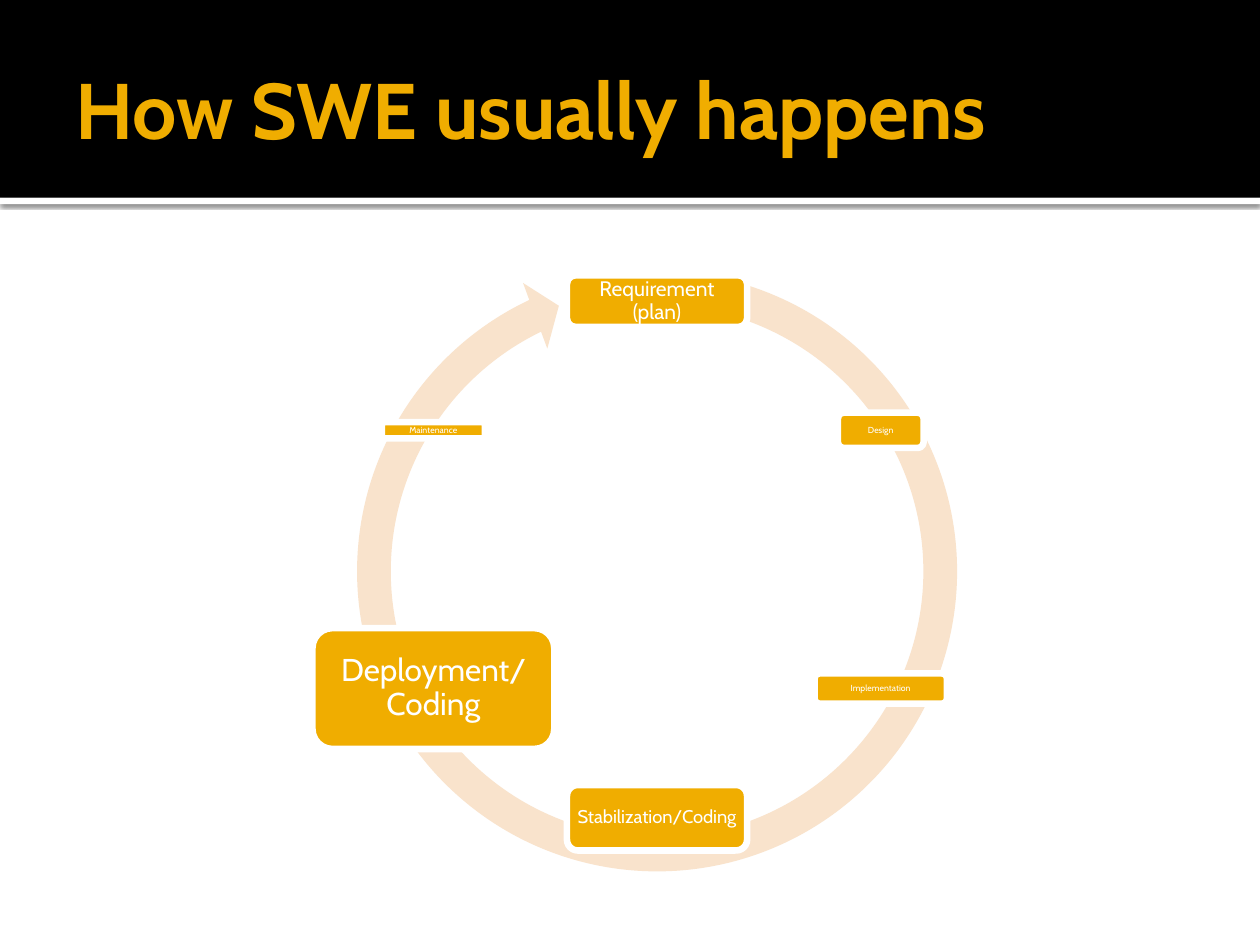
from math import cos, radians, sin

from lxml import etree
from pptx import Presentation
from pptx.dml.color import RGBColor
from pptx.enum.shapes import MSO_SHAPE as Shape
from pptx.enum.text import MSO_ANCHOR as Anchor, PP_ALIGN as Align
from pptx.oxml import parse_xml
from pptx.oxml.ns import nsdecls
from pptx.util import Inches, Pt

TITLE = "How SWE usually happens"
# Clockwise from the top: label, width, height, font size, text inset
STAGES = [
    ("Requirement (plan)", 1.43, 0.41, 12, 0.05),
    ("Design", 0.68, 0.28, 5, 0.02),
    ("Implementation", 1.05, 0.24, 5, 0.02),
    ("Stabilization/Coding", 1.43, 0.52, 10.5, 0.05),
    ("Deployment/Coding", 1.92, 0.96, 18, 0.07),
    ("Maintenance", 0.82, 0.13, 5, 0.02),
]
FONT = "Cabin"
GOLD, PEACH, WHITE, BLACK = "F0AD00", "F9E3CC", "FFFFFF", "000000"
CENTER_X, CENTER_Y, RADIUS = 5.215, 4.44, 2.05
ARROW_BOX = (2.69, 2.01, 5.05, 5.05)
ARROW_ADJUSTMENTS = (0.053, 3.126, 146.698, 168.728, 0.055)


def color(hex_value):
    return RGBColor.from_string(hex_value)


def add_filled(slide, kind, box, fill):
    shape = slide.shapes.add_shape(kind, *map(Inches, box))
    shape.shadow.inherit = False
    shape.fill.solid()
    shape.fill.fore_color.rgb = color(fill)
    shape.line.fill.background()
    return shape


def add_drop_shadow(shape):
    effects = shape.element.spPr.find("{*}effectLst")
    shadow = parse_xml(
        f'<a:outerShdw {nsdecls("a")} blurRad="{Pt(2.5)}" dist="{Pt(0.8)}" dir="5400000"'
        ' algn="t" rotWithShape="0"/>')
    tint = etree.SubElement(shadow, shadow.tag.replace("outerShdw", "srgbClr"), val=BLACK)
    etree.SubElement(tint, shadow.tag.replace("outerShdw", "alpha"), val="60000")
    effects.append(shadow)


def write(shape, text, size, text_color, insets):
    """Put one vertically centred paragraph in shape; insets are left, top, right, bottom."""
    frame = shape.text_frame
    frame.word_wrap = True
    frame.vertical_anchor = Anchor.MIDDLE
    (frame.margin_left, frame.margin_top,
     frame.margin_right, frame.margin_bottom) = map(Inches, insets)
    paragraph = frame.paragraphs[0]
    paragraph.text = text
    paragraph.font.name = FONT
    paragraph.font.size = Pt(size)
    paragraph.font.color.rgb = color(text_color)
    return paragraph


def add_header(slide):
    add_drop_shadow(add_filled(slide, Shape.RECTANGLE, (0, 1.57, 10, 0.05), WHITE))
    add_filled(slide, Shape.RECTANGLE, (0, 0, 10, 1.57), BLACK)
    title = slide.shapes.add_textbox(*map(Inches, (0.5, 0.17, 9, 1.37)))
    write(title, TITLE, 45, GOLD, (0.1, 0.05, 0.05, 0.05)).font.bold = True


def add_cycle(slide):
    arrow = add_filled(slide, Shape.CIRCULAR_ARROW, ARROW_BOX, PEACH)
    for index, value in enumerate(ARROW_ADJUSTMENTS):
        arrow.adjustments[index] = value

    for index, (label, width, height, size, inset) in enumerate(STAGES):
        angle = radians(index * 360 / len(STAGES) - 90)
        left = CENTER_X + RADIUS * cos(angle) - width / 2
        top = CENTER_Y + RADIUS * sin(angle) - height / 2
        stage = add_filled(slide, Shape.ROUNDED_RECTANGLE, (left, top, width, height), GOLD)
        stage.line.color.rgb = color(WHITE)
        stage.line.width = Pt(3.78)
        paragraph = write(stage, label, size, WHITE, [inset] * 4)
        paragraph.alignment = Align.CENTER
        paragraph.line_spacing = 0.9


def main():
    presentation = Presentation()
    presentation.slide_width, presentation.slide_height = Inches(10), Inches(7.5)
    slide = presentation.slides.add_slide(presentation.slide_layouts[6])
    add_header(slide)
    add_cycle(slide)
    presentation.save("out.pptx")


if __name__ == "__main__":
    main()
